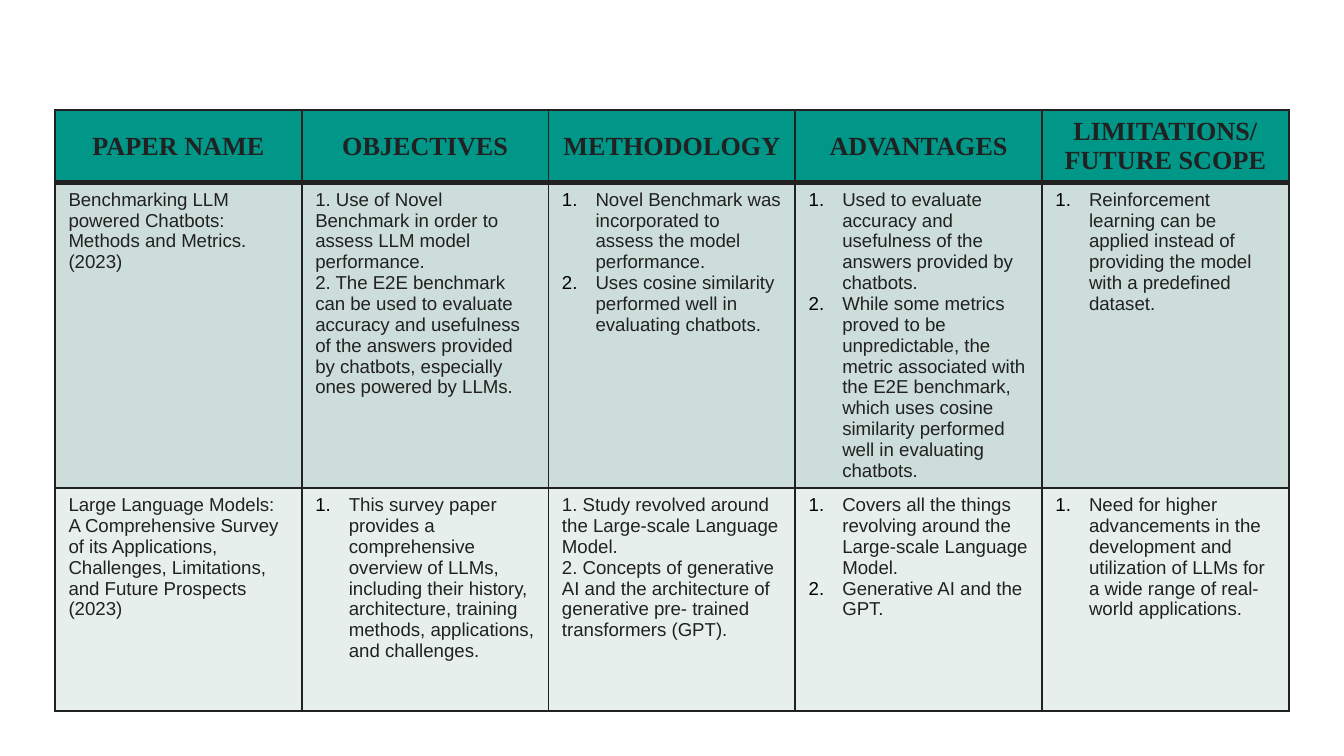
from lxml import etree
from pptx import Presentation
from pptx.dml.color import RGBColor
from pptx.enum.text import MSO_ANCHOR, PP_ALIGN
from pptx.oxml.ns import qn
from pptx.util import Inches, Pt

CENTER = PP_ALIGN.CENTER
LEFT = PP_ALIGN.LEFT
MIDDLE = MSO_ANCHOR.MIDDLE
TOP = MSO_ANCHOR.TOP

INK = RGBColor(0x21, 0x21, 0x21)
NUMBER_COLOR = RGBColor(0x00, 0x00, 0x00)
HEADER_FILL = RGBColor(0x00, 0x96, 0x88)
ROW_FILLS = (RGBColor(0xCC, 0xDD, 0xDA), RGBColor(0xE7, 0xEF, 0xED))

SLIDE_WIDTH = Inches(10)
SLIDE_HEIGHT = SLIDE_WIDTH * 9 // 16
TABLE_LEFT, TABLE_TOP, TABLE_WIDTH = 0.41, 0.82, 9.18
ROW_HEIGHTS = (0.54, 1.7, 1.66)
NUMBER_INDENT = Inches(0.25)
THIN, THICK = Pt(1), Pt(3)

HEADINGS = ("PAPER NAME", "OBJECTIVES", "METHODOLOGY", "ADVANTAGES",
            "LIMITATIONS/ FUTURE SCOPE")

# Each cell: (automatically numbered, paragraphs)
PAPERS = (
    (
        (False, ("Benchmarking LLM powered Chatbots: Methods and Metrics.",
                 "(2023)")),
        (False, ("1. Use of Novel Benchmark in order to assess LLM model performance.",
                 "2. The E2E benchmark can be used to evaluate accuracy and usefulness "
                 "of the answers provided by chatbots, especially ones powered by LLMs.")),
        (True, ("Novel Benchmark was incorporated to assess the model performance.",
                "Uses cosine similarity performed well in evaluating chatbots.")),
        (True, ("Used to evaluate accuracy and usefulness of the answers provided "
                "by chatbots.",
                "While some metrics proved to be unpredictable, the metric associated "
                "with the E2E benchmark, which uses cosine similarity performed well "
                "in evaluating chatbots.")),
        (True, ("Reinforcement learning can be applied instead of providing the model "
                "with a predefined dataset.",)),
    ),
    (
        (False, ("Large Language Models: A Comprehensive Survey of its Applications, "
                 "Challenges, Limitations, and Future Prospects",
                 "(2023)")),
        (True, ("This survey paper provides a comprehensive overview of LLMs, including "
                "their history, architecture, training methods, applications, and "
                "challenges.",)),
        (False, ("1. Study revolved around the Large-scale Language Model.",
                 "2. Concepts of generative AI and the architecture of generative "
                 "pre- trained transformers (GPT).")),
        (True, ("Covers all the things revolving around the Large-scale Language Model.",
                "Generative AI and the GPT.")),
        (True, ("Need for higher advancements in the development and utilization of "
                "LLMs for a wide range of real-world applications.",)),
    ),
)


def add_color(parent, color):
    etree.SubElement(parent, qn("a:srgbClr"), val=str(color))


def set_borders(cell, top=THIN, bottom=THIN):
    """Draw all four borders; call before filling, as the schema wants lines first."""
    properties = cell._tc.get_or_add_tcPr()
    for side, width in (("L", THIN), ("R", THIN), ("T", top), ("B", bottom)):
        line = etree.SubElement(properties, qn(f"a:ln{side}"), w=str(width))
        add_color(etree.SubElement(line, qn("a:solidFill")), INK)


def number_paragraph(paragraph):
    properties = paragraph._p.get_or_add_pPr()
    properties.set("marL", str(NUMBER_INDENT))
    properties.set("indent", str(-NUMBER_INDENT))
    add_color(etree.SubElement(properties, qn("a:buClr")), NUMBER_COLOR)
    etree.SubElement(properties, qn("a:buFont"), typeface="Arial")
    etree.SubElement(properties, qn("a:buAutoNum"), type="arabicPeriod")


def fill_cell(cell, paragraphs, color, font_name, size, bold, alignment, anchor):
    cell.fill.solid()
    cell.fill.fore_color.rgb = color
    cell.vertical_anchor = anchor
    cell.text_frame.text = "\n".join(paragraphs)
    for paragraph in cell.text_frame.paragraphs:
        paragraph.alignment = alignment
        for run in paragraph.runs:
            run.font.name = font_name
            run.font.size = Pt(size)
            run.font.bold = bold
            run.font.color.rgb = INK


def fill_heading(cell, text):
    set_borders(cell, bottom=THICK)
    fill_cell(cell, (text,), HEADER_FILL, "Times New Roman", 14, True, CENTER, MIDDLE)


def fill_body(cell, numbered, paragraphs, color, top):
    set_borders(cell, top=top)
    fill_cell(cell, paragraphs, color, "Arial", 10, False, LEFT, TOP)
    if numbered:
        for paragraph in cell.text_frame.paragraphs:
            number_paragraph(paragraph)


def add_paper_table(slide):
    frame = slide.shapes.add_table(
        len(ROW_HEIGHTS), len(HEADINGS), Inches(TABLE_LEFT), Inches(TABLE_TOP),
        Inches(TABLE_WIDTH), Inches(sum(ROW_HEIGHTS)))
    table = frame.table
    for row, height in zip(table.rows, ROW_HEIGHTS):
        row.height = Inches(height)
    for column, heading in enumerate(HEADINGS):
        fill_heading(table.cell(0, column), heading)
    for row, (paper, color) in enumerate(zip(PAPERS, ROW_FILLS), start=1):
        top = THICK if row == 1 else THIN
        for column, (numbered, paragraphs) in enumerate(paper):
            fill_body(table.cell(row, column), numbered, paragraphs, color, top)


def main():
    presentation = Presentation()
    presentation.slide_width = SLIDE_WIDTH
    presentation.slide_height = SLIDE_HEIGHT
    blank_layout = presentation.slide_layouts[6]
    add_paper_table(presentation.slides.add_slide(blank_layout))
    presentation.save("out.pptx")


if __name__ == "__main__":
    main()
